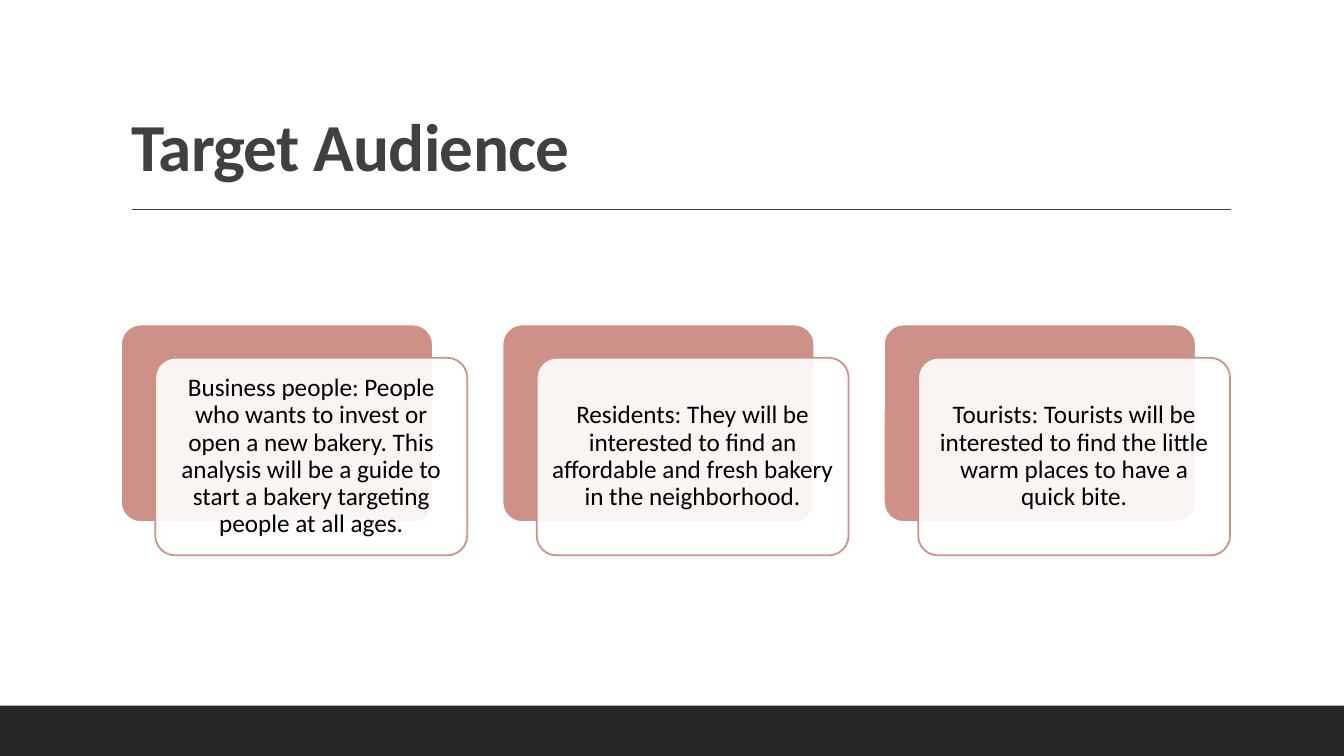
from lxml.etree import SubElement
from pptx import Presentation
from pptx.dml.color import RGBColor
from pptx.enum.shapes import MSO_CONNECTOR, MSO_SHAPE
from pptx.enum.text import MSO_ANCHOR, PP_ALIGN
from pptx.oxml.ns import qn
from pptx.util import Inches, Pt

COLORS = {"band": "262626", "title": "404040", "rose": "CE9188",
          "white": "FFFFFF", "text": "000000"}
FONT = "Calibri"
AUDIENCES = [
    "Business people: People who wants to invest or open a new bakery. This "
    "analysis will be a guide to start a bakery targeting people at all ages.",
    "Residents: They will be interested to find an affordable and fresh "
    "bakery in the neighborhood.",
    "Tourists: Tourists will be interested to find the little warm places to "
    "have a quick bite.",
]


def rgb(name):
    """Return the named colour."""
    return RGBColor.from_string(COLORS[name])


def add_box(s, kind, x, y, w, h, fill, line=None):
    """Add a flat filled shape with an optional outline."""
    sp = s.shapes.add_shape(kind, Inches(x), Inches(y), Inches(w), Inches(h))
    sp.shadow.inherit = False
    sp.fill.solid()
    sp.fill.fore_color.rgb = rgb(fill)
    if line:
        sp.line.color.rgb = rgb(line)
        sp.line.width = Pt(1.25)
    else:
        sp.line.fill.background()
    return sp


def format_text(p, size, color, bold=False):
    """Set line spacing and the font of every run in a paragraph."""
    p.line_spacing = 0.9
    for r in p.runs:
        r.font.name = FONT
        r.font.size = Pt(size)
        r.font.bold = bold
        r.font.color.rgb = rgb(color)


def add_title(s, text, x, y, w, h):
    """Place the title and the rule beneath it."""
    title = s.shapes.title
    title.left, title.top = Inches(x), Inches(y)
    title.width, title.height = Inches(w), Inches(h)
    tf = title.text_frame
    tf.text = text
    tf.word_wrap = True
    tf.vertical_anchor = MSO_ANCHOR.BOTTOM
    p = tf.paragraphs[0]
    p.alignment = PP_ALIGN.LEFT
    format_text(p, 48, "title", bold=True)
    p.runs[0].font._element.set("spc", "-50")

    rule_y = Inches(y + h + 0.18)
    rule = s.shapes.add_connector(MSO_CONNECTOR.STRAIGHT, Inches(x + 0.11),
                                  rule_y, Inches(x + w + 0.01), rule_y)
    rule.line.color.rgb = rgb("title")
    rule.line.width = Pt(1)
    SubElement(rule._element.spPr, qn("a:effectLst"))


def add_card(s, text, x, y, w, h):
    """Draw a rose panel with a translucent text panel offset over it."""
    dx, dy = 0.34, 0.33
    panel = (w - dx, h - dy)
    back = add_box(s, MSO_SHAPE.ROUNDED_RECTANGLE, x, y, *panel, "rose", "white")
    front = add_box(s, MSO_SHAPE.ROUNDED_RECTANGLE, x + dx, y + dy, *panel,
                    "white", "rose")
    for sp in (back, front):
        sp.adjustments[0] = 0.1
    color = front._element.spPr.find(qn("a:solidFill"))[0]
    SubElement(color, qn("a:alpha"), val="90000")

    tf = front.text_frame
    tf.text = text
    tf.word_wrap = True
    tf.vertical_anchor = MSO_ANCHOR.MIDDLE
    tf.margin_left = tf.margin_right = Inches(0.07)
    tf.margin_top = tf.margin_bottom = Inches(0.07)
    p = tf.paragraphs[0]
    p.alignment = PP_ALIGN.CENTER
    format_text(p, 18, "text")


def add_cards(s, texts, x, y, w, h):
    """Spread one card per text evenly across the box."""
    gap = 0.35
    card_w = (w - gap * (len(texts) - 1)) / len(texts)
    for i, text in enumerate(texts):
        add_card(s, text, x + i * (card_w + gap), y, card_w, h)


def main():
    """Build the slide and save it."""
    prs = Presentation()
    prs.slide_width, prs.slide_height = Inches(13.33), Inches(7.5)
    s = prs.slides.add_slide(prs.slide_layouts[5])
    add_box(s, MSO_SHAPE.RECTANGLE, 0, 7, 13.33, 0.5, "band")
    add_title(s, "Target Audience", 1.2, 0.31, 11, 1.59)
    add_cards(s, AUDIENCES, 1.2, 3.22, 11, 2.29)
    prs.save("out.pptx")


if __name__ == "__main__":
    main()
